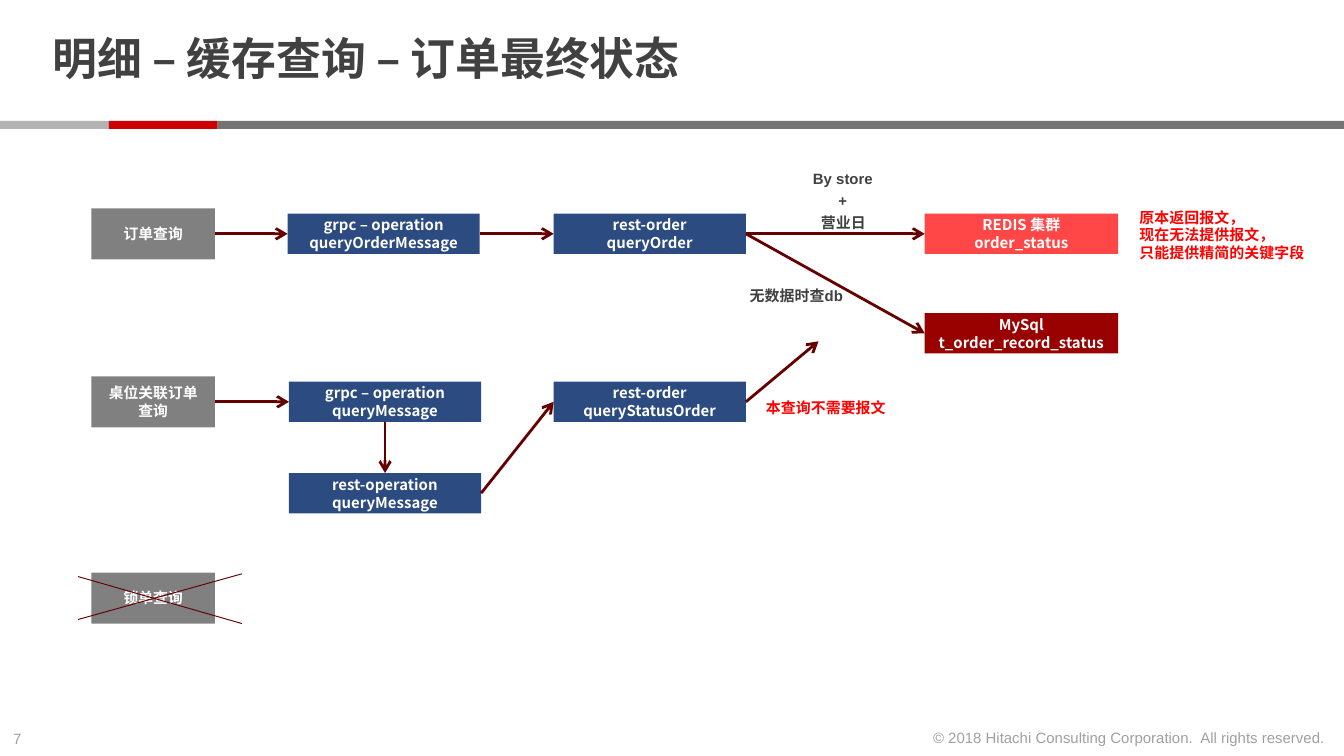
from dataclasses import dataclass
from typing import NamedTuple, Optional

from lxml.etree import SubElement
from pptx import Presentation
from pptx.dml.color import RGBColor
from pptx.enum.shapes import MSO_CONNECTOR, MSO_SHAPE
from pptx.enum.text import MSO_ANCHOR, PP_ALIGN
from pptx.oxml.ns import qn
from pptx.util import Inches, Pt

WHITE = RGBColor(0xFF, 0xFF, 0xFF)
INK = RGBColor(0x41, 0x41, 0x41)
FAINT = RGBColor(0xA0, 0xA0, 0xA0)
NOTE_RED = RGBColor(0xFF, 0x00, 0x00)
LIGHT_GREY = RGBColor(0xB3, 0xB3, 0xB3)
DARK_GREY = RGBColor(0x73, 0x73, 0x73)
BRAND_RED = RGBColor(0xCC, 0x00, 0x00)
QUERY_GREY = RGBColor(0x80, 0x80, 0x80)
SERVICE_BLUE = RGBColor(0x2C, 0x4B, 0x80)
CACHE_RED = RGBColor(0xFF, 0x47, 0x47)
DB_RED = RGBColor(0x99, 0x00, 0x00)
ARROW_RED = RGBColor(0x66, 0x00, 0x00)

LATIN, CJK = "Arial", "Noto Sans CJK SC"
TOP, LEFT, BOTTOM, RIGHT = range(4)


class Column(NamedTuple):
    left: float
    width: float
    height: float
    inset: float
    size: float


# Flow grid: columns hold box sizes, rows hold vertical centres
QUERY = Column(0.68, 0.92, 0.38, 0.1, 7.9)
ORDER_OPERATION = Column(2.14, 1.43, 0.3, 0.05, 8)
TABLE_OPERATION = ORDER_OPERATION._replace(left=2.15)
ORDER = ORDER_OPERATION._replace(left=4.12)
STORE = Column(6.88, 1.44, 0.3, 0.05, 8)
ORDER_ROW, DB_ROW, TABLE_ROW, REST_ROW, LOCK_ROW = 1.74, 2.48, 2.99, 3.67, 4.45


@dataclass
class Step:
    column: Column
    row: float
    fill: RGBColor
    text: str


@dataclass
class Label:
    left: float
    top: float
    width: float
    height: float
    text: str
    color: RGBColor = INK
    bold: bool = True
    wrap: bool = False
    align: Optional[PP_ALIGN] = None


STEPS = {
    "order query": Step(QUERY, ORDER_ROW, QUERY_GREY, "订单查询"),
    "table query": Step(QUERY, TABLE_ROW, QUERY_GREY, "桌位关联订单查询"),
    "lock query": Step(QUERY, LOCK_ROW, QUERY_GREY, "锁单查询"),
    "grpc order": Step(ORDER_OPERATION, ORDER_ROW, SERVICE_BLUE,
                       "grpc – operation\nqueryOrderMessage"),
    "rest order": Step(ORDER, ORDER_ROW, SERVICE_BLUE, "rest-order\nqueryOrder"),
    "database": Step(STORE, DB_ROW, DB_RED, "MySql\nt_order_record_status"),
    "cache": Step(STORE, ORDER_ROW, CACHE_RED, "REDIS 集群\norder_status"),
    "grpc table": Step(TABLE_OPERATION, TABLE_ROW, SERVICE_BLUE,
                       "grpc – operation\nqueryMessage"),
    "rest table": Step(TABLE_OPERATION, REST_ROW, SERVICE_BLUE,
                       "rest-operation\nqueryMessage"),
    "rest status": Step(ORDER, TABLE_ROW, SERVICE_BLUE, "rest-order\nqueryStatusOrder"),
}

FLOWS = [
    ("order query", RIGHT, "grpc order", LEFT),
    ("grpc order", RIGHT, "rest order", LEFT),
    ("rest order", RIGHT, "cache", LEFT),
    ("rest order", RIGHT, "database", LEFT),
    ("table query", RIGHT, "grpc table", LEFT),
    ("grpc table", BOTTOM, "rest table", TOP),
    ("rest table", RIGHT, "rest status", LEFT),
]

LABELS = [
    Label(5.95, 1.21, 0.65, 0.24, "By store"),
    Label(6.14, 1.38, 0.27, 0.24, "+"),
    Label(6.01, 1.54, 0.54, 0.24, "营业日"),
    Label(5.48, 2.08, 0.9, 0.24, "无数据时查db", wrap=True),
    Label(8.38, 1.5, 1.62, 0.5, "原本返回报文，\n现在无法提供报文，\n只能提供精简的关键字段",
          NOTE_RED, wrap=True),
    Label(5.6, 2.92, 1.09, 0.24, "本查询不需要报文", NOTE_RED, wrap=True),
    Label(0, 5.38, 0.34, 0.24, "7", FAINT, bold=False),
    Label(6.8, 5.37, 3.16, 0.24,
          "© 2018 Hitachi Consulting Corporation.  All rights reserved.",
          FAINT, bold=False, align=PP_ALIGN.RIGHT),
]


def write(frame, text: str, color: RGBColor, align=None, **font_format) -> None:
    frame.text = text
    for paragraph in frame.paragraphs:
        paragraph.alignment = align
        for run in paragraph.runs:
            for key, value in font_format.items():
                setattr(run.font, key, value)
            run.font.color.rgb = color
            SubElement(run.font._element, qn("a:ea")).set("typeface", CJK)


def add_block(slide, left: float, top: float, width: float, height: float, fill: RGBColor):
    block = slide.shapes.add_shape(MSO_SHAPE.RECTANGLE, Inches(left), Inches(top),
                                   Inches(width), Inches(height))
    block.shadow.inherit = False
    block.fill.solid()
    block.fill.fore_color.rgb = fill
    block.line.fill.background()
    return block


def add_step(slide, step: Step):
    column = step.column
    block = add_block(slide, column.left, step.row - column.height / 2,
                      column.width, column.height, step.fill)
    frame = block.text_frame
    frame_format = {"word_wrap": True, "vertical_anchor": MSO_ANCHOR.MIDDLE,
                    "margin_left": Inches(column.inset), "margin_right": Inches(column.inset)}
    for key, value in frame_format.items():
        setattr(frame, key, value)
    write(frame, step.text, WHITE, PP_ALIGN.CENTER, name=CJK, size=Pt(column.size), bold=True)
    return block


def add_line(slide, start=(0, 0), end=(0, 0), width: float = 1.5, arrow: bool = True):
    line = slide.shapes.add_connector(MSO_CONNECTOR.STRAIGHT,
                                      *(Inches(value) for value in (*start, *end)))
    line.line.color.rgb = ARROW_RED
    line.line.width = Pt(width)
    if arrow:
        SubElement(line.line._get_or_add_ln(), qn("a:tailEnd")).set("type", "arrow")
    SubElement(line._element.spPr, qn("a:effectLst"))
    return line


def add_label(slide, label: Label) -> None:
    box = slide.shapes.add_textbox(Inches(label.left), Inches(label.top),
                                   Inches(label.width), Inches(label.height))
    box.text_frame.word_wrap = label.wrap
    write(box.text_frame, label.text, label.color, label.align,
          name=LATIN, size=Pt(8), bold=label.bold)


def add_title(slide, text: str) -> None:
    title = slide.shapes.title
    placement = {"left": 0.29, "top": 0.06, "width": 7.71, "height": 0.8}
    for key, value in placement.items():
        setattr(title, key, Inches(value))
    frame = title.text_frame
    frame_format = {"word_wrap": True, "vertical_anchor": MSO_ANCHOR.MIDDLE,
                    "margin_top": 0, "margin_bottom": 0}
    for key, value in frame_format.items():
        setattr(frame, key, value)
    write(frame, text, INK, PP_ALIGN.LEFT, name=LATIN, size=Pt(24), bold=True)
    frame.paragraphs[0].line_spacing = 0.85


def main() -> None:
    deck = Presentation()
    deck.slide_width = Inches(10)
    deck.slide_height = deck.slide_width * 9 // 16
    slide = deck.slides.add_slide(deck.slide_layouts[5])

    # Title and the three-part rule below it
    add_title(slide, "明细 – 缓存查询 – 订单最终状态")
    for left, right, color in ((0, 0.81, LIGHT_GREY), (0.81, 1.62, BRAND_RED),
                               (1.62, 10, DARK_GREY)):
        add_block(slide, left, 0.9, right - left, 0.06, color)

    # Flow steps and the arrows between them
    blocks = {key: add_step(slide, step) for key, step in STEPS.items()}
    for source, source_side, target, target_side in FLOWS:
        flow = add_line(slide)
        flow.begin_connect(blocks[source], source_side)
        flow.end_connect(blocks[target], target_side)
    status_flow = add_line(slide, (ORDER.left + ORDER.width, TABLE_ROW), (6.09, 2.54))
    status_flow.begin_connect(blocks["rest status"], RIGHT)

    # Cross over the dropped query
    add_line(slide, (0.58, 4.29), (1.8, 4.64), 0.5, arrow=False)
    add_line(slide, (0.58, 4.61), (1.8, 4.27), 0.5, arrow=False)

    # Notes and footer
    for label in LABELS:
        add_label(slide, label)

    deck.save("out.pptx")


if __name__ == "__main__":
    main()
